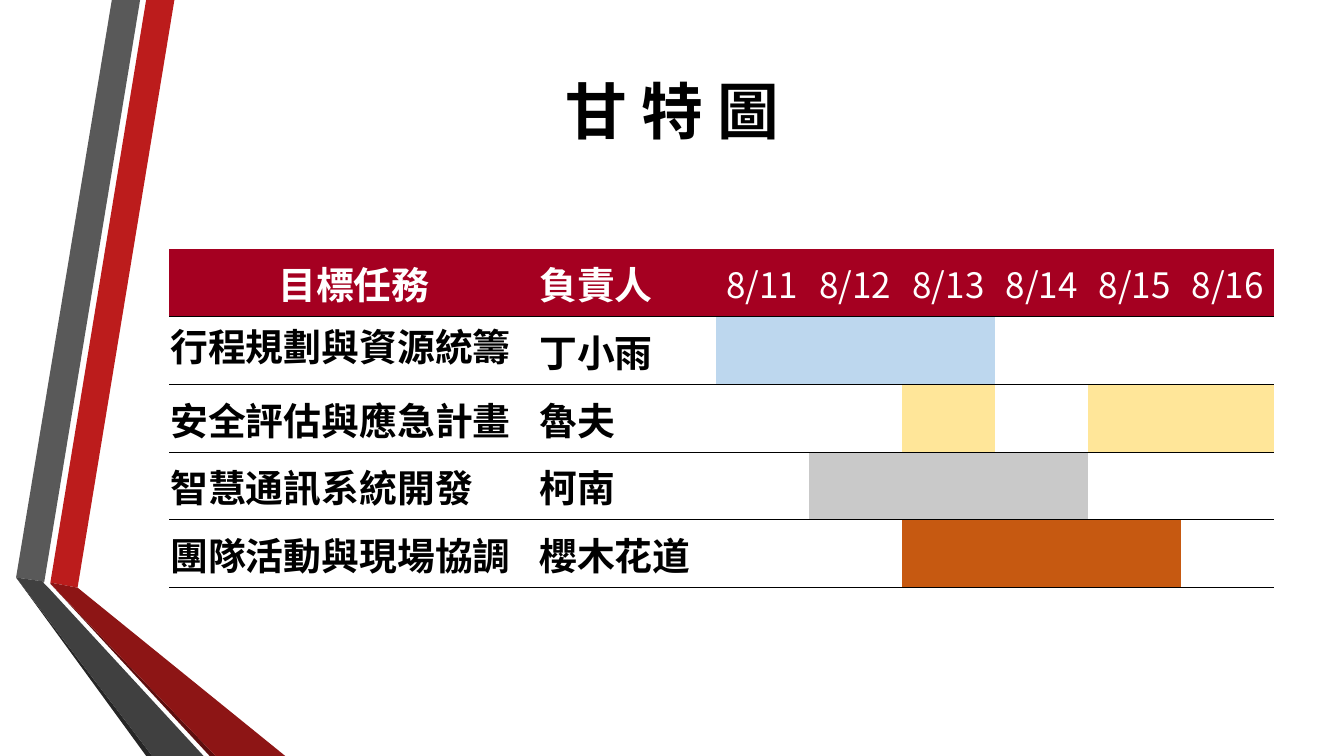
"""Build a one-slide Gantt chart with an angled ribbon on the left."""
from dataclasses import dataclass

from lxml.etree import SubElement, fromstring
from pptx import Presentation
from pptx.dml.color import RGBColor
from pptx.enum.text import MSO_ANCHOR, PP_ALIGN
from pptx.oxml.ns import nsdecls, qn
from pptx.util import Inches, Pt


@dataclass(frozen=True)
class Theme:
    font: str = "Noto Sans CJK SC"
    ink: str = "000000"
    header_ink: str = "FFFFFF"
    header: str = "A50021"
    red: str = "BC1C1C"
    red_fold: str = "8D1515"
    red_edge: str = "5E0E0E"
    gray: str = "595959"
    gray_fold: str = "404040"
    gray_edge: str = "262626"
    blue_bar: str = "BDD7EE"
    yellow_bar: str = "FFE699"
    silver_bar: str = "C9C9C9"
    orange_bar: str = "C65911"
    title_size: int = 44
    task_size: int = 27
    date_size: int = 25


theme = Theme()


def write(para, text, size, color, bold=True, align=PP_ALIGN.LEFT):
    """Fill a paragraph with one styled span."""
    span = para.add_run()
    span.text = text
    para.alignment = align
    for font in (para.font, span.font):
        font.name = theme.font
        font.size = Pt(size)
        font.bold = bold
        font.color.rgb = RGBColor.from_string(color)
        SubElement(font._element, qn("a:ea"), typeface=theme.font)


deck = Presentation()
deck.slide_width = Inches(13.33)
deck.slide_height = Inches(7.5)
page = deck.slides.add_slide(deck.slide_layouts[6])

ribbons = [
    (theme.red, [(0.5, 5.78), (0.77, 5.83), (1.73, 0), (1.45, 0)]),
    (theme.gray, [(1.39, 0), (1.11, 0), (0.16, 5.73), (0.44, 5.77)]),
    (theme.gray_edge, [(0.16, 5.73), (1.45, 7.5), (1.51, 7.5)]),
    (theme.red_edge, [(0.5, 5.79), (2.08, 7.5), (2.14, 7.5)]),
    (theme.red_fold, [(0.5, 5.78), (0.5, 5.79), (2.14, 7.5), (2.83, 7.5), (0.77, 5.83)]),
    (theme.gray_fold, [(2.02, 7.5), (0.48, 5.83), (0.43, 5.78), (0.44, 5.77), (0.16, 5.73), (1.51, 7.5)]),
]
for color, corners in ribbons:
    points = [(Inches(x), Inches(y)) for x, y in corners]
    outline = page.shapes.build_freeform(*points[0])
    outline.add_line_segments(points[1:], close=True)
    ribbon = outline.convert_to_shape()
    ribbon.shadow.inherit = False
    ribbon.fill.solid()
    ribbon.fill.fore_color.rgb = RGBColor.from_string(color)
    ribbon.line.fill.background()

title_box = page.shapes.add_textbox(Inches(1.19), Inches(0.76), Inches(10.96), Inches(1.92))
title_box.text_frame.word_wrap = True
title = title_box.text_frame.paragraphs[0]
title.line_spacing = 0.9
write(title, "甘 特 圖", theme.title_size, theme.ink, align=PP_ALIGN.CENTER)

dates = ["8/11", "8/12", "8/13", "8/14", "8/15", "8/16"]
tasks = [
    ("行程規劃與資源統籌", "丁小雨", theme.blue_bar, {"8/11", "8/12", "8/13"}),
    ("安全評估與應急計畫", "魯夫", theme.yellow_bar, {"8/13", "8/15", "8/16"}),
    ("智慧通訊系統開發", "柯南", theme.silver_bar, {"8/12", "8/13", "8/14"}),
    ("團隊活動與現場協調", "櫻木花道", theme.orange_bar, {"8/13", "8/14", "8/15"}),
]
table_width, table_height = Inches(10.96), Inches(3.36)
task_width, owner_width = Inches(3.66), Inches(1.76)
date_width = (table_width - task_width - owner_width) // len(dates)
row_count = len(tasks) + 1

table = page.shapes.add_table(
    row_count, len(dates) + 2, Inches(1.68), Inches(2.47), table_width, table_height
).table
table.first_row = False
table.horz_banding = False
table._tbl.tblPr.find(qn("a:tableStyleId")).text = "{2D5ABB26-0587-4C30-8999-92F81FD0307C}"
for column, width in zip(table.columns, [task_width, owner_width] + [date_width] * len(dates)):
    column.width = width
for row in table.rows:
    row.height = table_height // row_count

for cell in table.iter_cells():
    cell.vertical_anchor = MSO_ANCHOR.MIDDLE
    cell.margin_left = cell.margin_top = cell.margin_right = Inches(0.01)
    cell.margin_bottom = 0
    cell.fill.background()
    rule = fromstring(
        f'<a:lnB {nsdecls("a")} w="{Pt(0.5)}"><a:solidFill>'
        f'<a:srgbClr val="{theme.ink}"/></a:solidFill></a:lnB>'
    )
    cell._tc.get_or_add_tcPr().insert(0, rule)

for index, label in enumerate(["目標任務", "負責人"] + dates):
    cell = table.cell(0, index)
    cell.fill.solid()
    cell.fill.fore_color.rgb = RGBColor.from_string(theme.header)
    is_date = label in dates
    write(
        cell.text_frame.paragraphs[0],
        label,
        theme.date_size if is_date else theme.task_size,
        theme.header_ink,
        bold=not is_date,
        align=PP_ALIGN.LEFT if index == 1 else PP_ALIGN.CENTER,
    )

for row_index, (task, owner, color, busy_days) in enumerate(tasks, start=1):
    for index, label in enumerate([task, owner]):
        para = table.cell(row_index, index).text_frame.paragraphs[0]
        write(para, label, theme.task_size, theme.ink)
    for index, date in enumerate(dates, start=2):
        if date in busy_days:
            bar = table.cell(row_index, index).fill
            bar.solid()
            bar.fore_color.rgb = RGBColor.from_string(color)
table.cell(1, 0).vertical_anchor = MSO_ANCHOR.TOP

deck.save("out.pptx")
